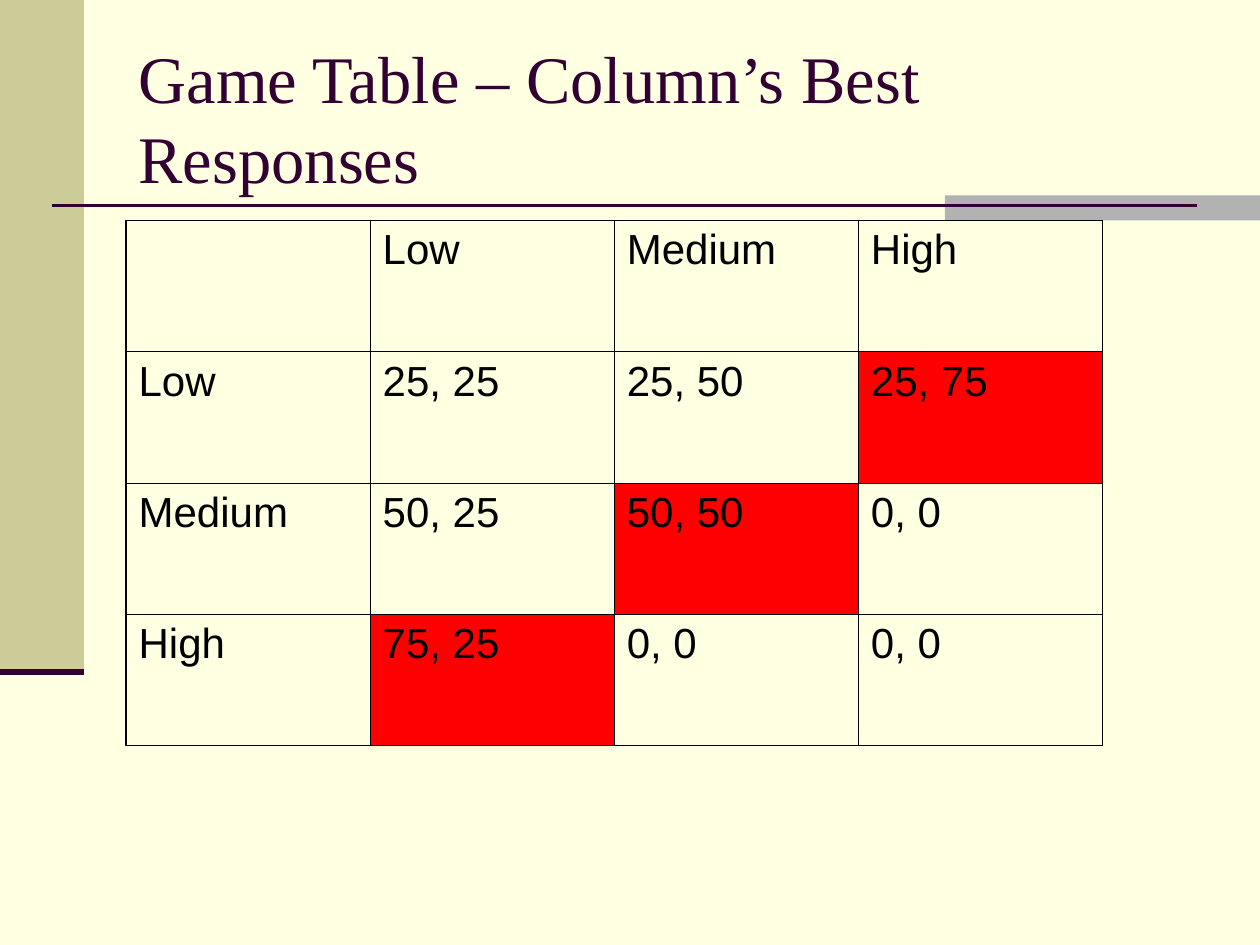
from lxml.etree import SubElement
from pptx import Presentation
from pptx.dml.color import RGBColor
from pptx.enum.shapes import MSO_CONNECTOR, MSO_SHAPE
from pptx.enum.text import MSO_ANCHOR, MSO_AUTO_SIZE, PP_ALIGN
from pptx.oxml.ns import qn
from pptx.util import Pt

TITLE = "Game Table – Column’s Best Responses"
ROWS = [
    ["", "Low", "Medium", "High"],
    ["Low", "25, 25", "25, 50", "25, 75"],
    ["Medium", "50, 25", "50, 50", "0, 0"],
    ["High", "75, 25", "0, 0", "0, 0"],
]
BEST = {(1, 3), (2, 2), (3, 1)}
COLORS = {
    "page": "FFFFE1", "band": "CCCC99", "tab": "B2B2B2",
    "plum": "330033", "best": "FF0000", "ink": "000000",
}
# left, top, width, height, colour
BARS = [(0, 0, 48, 384, "band"), (540, 111.6, 180, 14.4, "tab")]
# start x, end x, y, width
RULES = [(30, 684, 117.5, 1.5), (0, 48, 384, 3.5)]
TITLE_BOX = (72, 21.6, 612, 90)
TABLE_BOX = (72, 126, 558, 300)
INNER, OUTER = 0.45, 1.08


def color(name):
    return RGBColor.from_string(COLORS[name])


def write(frame, text, size, face, ink):
    para = frame.paragraphs[0]
    para.alignment = PP_ALIGN.LEFT
    run = para.add_run()
    run.text = text
    run.font.size = Pt(size)
    run.font.name = face
    run.font.bold = False
    run.font.color.rgb = color(ink)


def add_decor(slide):
    for *box, name in BARS:
        bar = slide.shapes.add_shape(MSO_SHAPE.RECTANGLE, *map(Pt, box))
        bar.shadow.inherit = False
        bar.fill.solid()
        bar.fill.fore_color.rgb = color(name)
        bar.line.fill.background()
    for start, end, y, width in RULES:
        rule = slide.shapes.add_connector(
            MSO_CONNECTOR.STRAIGHT, Pt(start), Pt(y), Pt(end), Pt(y))
        rule.line.color.rgb = color("plum")
        rule.line.width = Pt(width)
        SubElement(rule._element.spPr, qn("a:effectLst"))


def add_title(slide):
    title = slide.shapes.title
    title.left, title.top, title.width, title.height = map(Pt, TITLE_BOX)
    frame = title.text_frame
    frame.word_wrap = True
    frame.auto_size = MSO_AUTO_SIZE.NONE
    frame.vertical_anchor = MSO_ANCHOR.MIDDLE
    write(frame, TITLE, 38, "Times New Roman", "plum")
    # Bring the title in front of the bars and rules.
    slide.shapes._spTree.append(title._element)


def set_edges(cell, row, col):
    """Draw thin inner borders and thicker ones around the table."""
    last_row, last_col = len(ROWS) - 1, len(ROWS[0]) - 1
    edges = {"L": col == 0, "R": col == last_col,
             "T": row == 0, "B": row == last_row}
    props = cell._tc.get_or_add_tcPr()
    for place, (side, outer) in enumerate(edges.items()):
        line = props.makeelement(
            qn(f"a:ln{side}"), {"w": str(Pt(OUTER if outer else INNER))})
        fill = SubElement(line, qn("a:solidFill"))
        SubElement(fill, qn("a:srgbClr"), val=COLORS["ink"])
        props.insert(place, line)


def add_game(slide):
    count, span = len(ROWS), len(ROWS[0])
    table = slide.shapes.add_table(count, span, *map(Pt, TABLE_BOX)).table
    table.first_row = table.horz_banding = False
    for col in table.columns:
        col.width = Pt(TABLE_BOX[2] / span)
    for row in table.rows:
        row.height = Pt(TABLE_BOX[3] / count)
    for row, texts in enumerate(ROWS):
        for col, text in enumerate(texts):
            cell = table.cell(row, col)
            if (row, col) in BEST:
                cell.fill.solid()
                cell.fill.fore_color.rgb = color("best")
            else:
                cell.fill.background()
            set_edges(cell, row, col)
            if text:
                write(cell.text_frame, text, 24, "Arial", "ink")


def main():
    deck = Presentation()
    deck.slide_width, deck.slide_height = Pt(720), Pt(540)
    slide = deck.slides.add_slide(deck.slide_layouts[5])
    slide.background.fill.solid()
    slide.background.fill.fore_color.rgb = color("page")
    add_decor(slide)
    add_title(slide)
    add_game(slide)
    deck.save("out.pptx")


if __name__ == "__main__":
    main()
